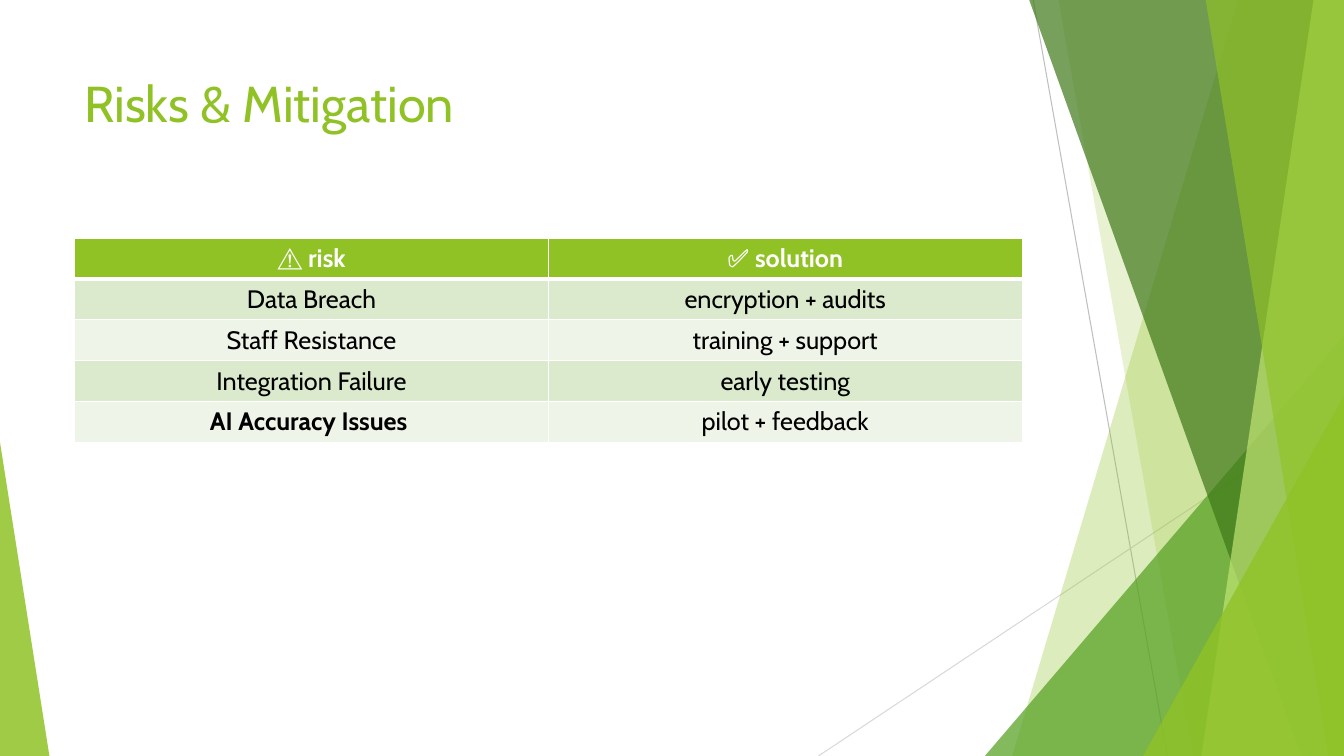
"""Build the Risks & Mitigation slide with its faceted green backdrop."""
from lxml import etree
from pptx import Presentation
from pptx.dml.color import RGBColor
from pptx.enum.shapes import MSO_CONNECTOR, MSO_SHAPE
from pptx.enum.text import MSO_ANCHOR, PP_ALIGN
from pptx.oxml.ns import qn
from pptx.util import Pt

STRAIGHT = MSO_CONNECTOR.STRAIGHT
TRIANGLE = MSO_SHAPE.ISOSCELES_TRIANGLE
TOP = MSO_ANCHOR.TOP
CENTER = PP_ALIGN.CENTER

WIDTH, HEIGHT = 960, 540
FONT = "Cabin"
GREEN, WHITE, BLACK = "90C226", "FFFFFF", "000000"
BANDS = ("DBE9CD", "EEF4E8")

TITLE = "Risks & Mitigation"
ROWS = [
    ("⚠ risk", "✅ solution"),
    ("Data Breach", "encryption + audits"),
    ("Staff Resistance", "training + support"),
    ("Integration Failure", "early testing"),
    ("AI Accuracy Issues ", "pilot + feedback"),
]
BOLD_CELLS = {(0, 0), (0, 1), (4, 0)}

# Lines: start x, start y, end x, end y, colour
RAYS = [
    (738, 0, 833.8, 540, "BFBFBF"),
    (960, 290.2, 584.6, 540, "D9D9D9"),
]
# Facets: kind, geometry, colour, opacity in percent
FACETS = [
    ("shard", (884.2, 723), GREEN, 30),
    ("shard", (756, 852), GREEN, 20),
    ("triangle", (703.5, 239.8, WIDTH, 1), "54A021", 72),
    ("shard", (735.2, 929.5), "3F7819", 70),
    ("shard", (938.2, 858.2), "C0E474", 70),
    ("shard", (861.2, 949), GREEN, 65),
    ("triangle", (816.5, 283, WIDTH, 1), GREEN, 80),
    ("triangle", (0, 316, 35.3, 0), GREEN, 85),
]

LEFT, CONTENT_WIDTH = 53.3, 676.8
TITLE_TOP, TITLE_HEIGHT = 48, 104
TABLE_TOP, ROW_HEIGHT = 170, 29.2


def rgb(value):
    """Turn a hex string into a colour."""
    return RGBColor.from_string(value)


def add_ray(page, x1, y1, x2, y2, color):
    """Draw one thin line."""
    ray = page.shapes.add_connector(STRAIGHT, Pt(x1), Pt(y1), Pt(x2), Pt(y2))
    ray.line.color.rgb = rgb(color)
    ray.line.width = Pt(0.75)
    etree.SubElement(ray.element.spPr, qn("a:effectLst"))


def add_shard(page, top_x, bottom_x):
    """Draw a full-height facet reaching the right edge of the slide."""
    builder = page.shapes.build_freeform(Pt(top_x), 0)
    corners = [(WIDTH, 0), (WIDTH, HEIGHT), (bottom_x, HEIGHT)]
    builder.add_line_segments([(Pt(x), Pt(y)) for x, y in corners])
    return builder.convert_to_shape()


def add_triangle(page, left, top, right, apex):
    """Draw a triangle standing on the bottom edge of the slide."""
    shape = page.shapes.add_shape(
        TRIANGLE, Pt(left), Pt(top), Pt(right - left), Pt(HEIGHT - top))
    shape.adjustments[0] = apex
    return shape


def add_facet(page, kind, geometry, color, opacity):
    """Draw one translucent facet."""
    draw = add_shard if kind == "shard" else add_triangle
    facet = draw(page, *geometry)
    facet.shadow.inherit = False
    facet.line.fill.background()
    facet.fill.solid()
    facet.fill.fore_color.rgb = rgb(color)
    tone = facet.element.spPr.find(qn("a:solidFill"))[0]
    etree.SubElement(tone, qn("a:alpha"), val=str(opacity * 1000))


def add_span(para, text, size, color, bold=False):
    """Add one run of text."""
    span = para.add_run()
    span.text = text
    span.font.name = FONT
    span.font.size = Pt(size)
    span.font.bold = bold
    span.font.color.rgb = rgb(color)


def add_title(page):
    """Add the slide title."""
    box = page.shapes.add_textbox(
        Pt(LEFT), Pt(TITLE_TOP), Pt(CONTENT_WIDTH), Pt(TITLE_HEIGHT))
    frame = box.text_frame
    frame.word_wrap = True
    frame.vertical_anchor = TOP
    add_span(frame.paragraphs[0], TITLE, 36, GREEN)


def set_borders(cell, row):
    """Give a cell white borders, heavier under the header."""
    widths = {"L": 1, "R": 1, "T": 3 if row == 1 else 1, "B": 3 if row == 0 else 1}
    properties = cell._tc.get_or_add_tcPr()
    for index, (side, width) in enumerate(widths.items()):
        border = etree.Element(qn(f"a:ln{side}"), w=str(Pt(width)))
        fill = etree.SubElement(border, qn("a:solidFill"))
        etree.SubElement(fill, qn("a:srgbClr"), val=WHITE)
        properties.insert(index, border)


def add_risk_table(page):
    """Add the table of risks and solutions."""
    table = page.shapes.add_table(
        len(ROWS), len(ROWS[0]), Pt(LEFT), Pt(TABLE_TOP),
        Pt(CONTENT_WIDTH), Pt(ROW_HEIGHT * len(ROWS))).table
    for row, texts in enumerate(ROWS):
        table.rows[row].height = Pt(ROW_HEIGHT)
        for column, text in enumerate(texts):
            cell = table.cell(row, column)
            cell.fill.solid()
            cell.fill.fore_color.rgb = rgb(BANDS[(row - 1) % 2] if row else GREEN)
            set_borders(cell, row)
            para = cell.text_frame.paragraphs[0]
            para.alignment = CENTER
            add_span(para, text, 18, BLACK if row else WHITE, (row, column) in BOLD_CELLS)


def main():
    """Build and save the deck."""
    deck = Presentation()
    deck.slide_width, deck.slide_height = Pt(WIDTH), Pt(HEIGHT)
    page = deck.slides.add_slide(deck.slide_layouts[6])
    for ray in RAYS:
        add_ray(page, *ray)
    for facet in FACETS:
        add_facet(page, *facet)
    add_title(page)
    add_risk_table(page)
    deck.save("out.pptx")


if __name__ == "__main__":
    main()
